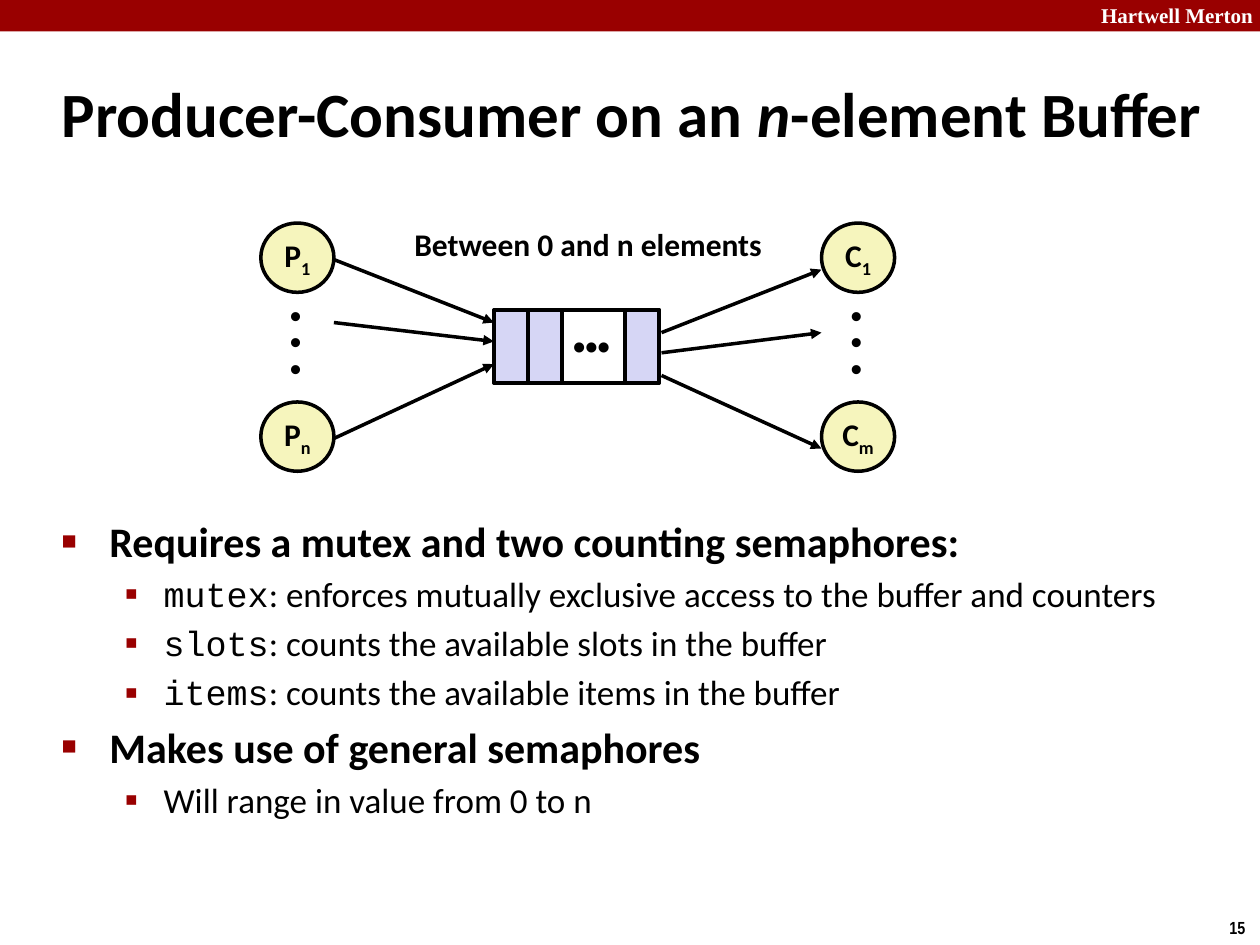
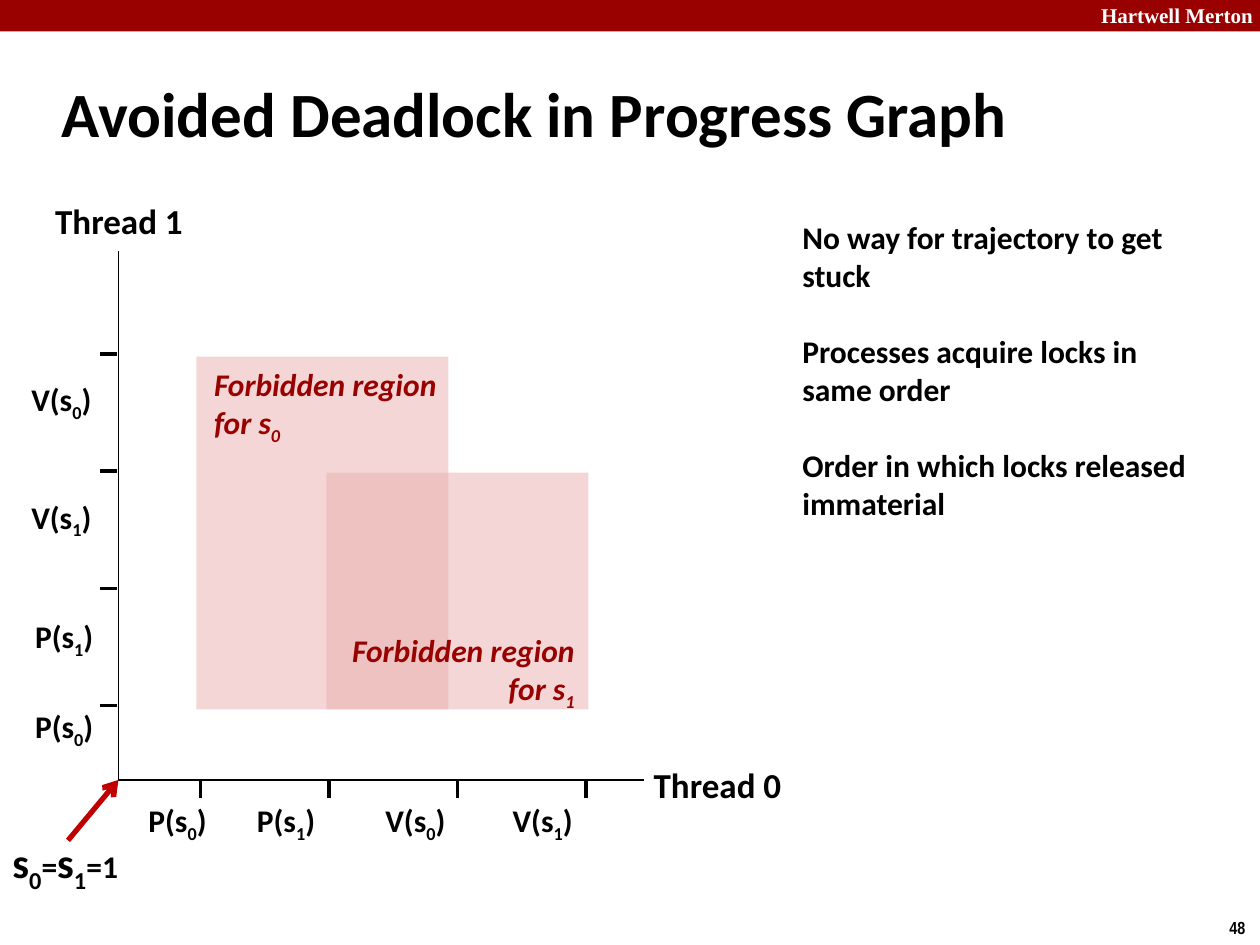
from dataclasses import dataclass

from lxml.etree import SubElement
from pptx import Presentation
from pptx.dml.color import RGBColor
from pptx.enum.shapes import MSO_CONNECTOR, MSO_SHAPE
from pptx.enum.text import MSO_ANCHOR, MSO_AUTO_SIZE, PP_ALIGN
from pptx.oxml.ns import qn
from pptx.util import Inches, Pt

COLORS = {
    "band": "990000",
    "text": "000000",
    "white": "FFFFFF",
    "node": "F6F5BD",
    "slot": "D6D6F5",
    "forbidden": "EBAFAF",
    "start": "C00000",
}
WIDTH, HEIGHT = Inches(10), Inches(7.5)
COLS, ROWS = 100, 75
TITLE_ONLY = 5


@dataclass
class Box:
    x: float
    y: float
    w: float
    h: float

    def sub(self, x, y, w, h):
        return Box(self.x + x, self.y + y, w, h)

    def emu(self):
        return (*point(self.x, self.y), *point(self.w, self.h))


def point(x, y):
    return round(WIDTH * x / COLS), round(HEIGHT * y / ROWS)


def rgb(name):
    return RGBColor.from_string(COLORS[name])


def add_run(p, text, size, font="Calibri", color="text", bold=True, italic=False):
    r = p.add_run()
    r.text = text.removeprefix("_")
    f = r.font
    f.size, f.name, f.bold, f.italic = Pt(size), font, bold, italic
    f.color.rgb = rgb(color)
    if text.startswith("_"):
        f._element.set("baseline", "-25000")


def fill_text(tf, paragraphs, size=18, align=PP_ALIGN.LEFT, spacing=None, before=0, **style):
    for i, runs in enumerate(paragraphs):
        p = tf.paragraphs[0] if i == 0 else tf.add_paragraph()
        p.alignment = align
        if spacing:
            p.line_spacing = spacing
        if i:
            p.space_before = Pt(before)
        for text in runs:
            add_run(p, text, size, **style)


def add_text(s, box, paragraphs, wrap=False, anchor=MSO_ANCHOR.TOP, **style):
    tf = s.shapes.add_textbox(*box.emu()).text_frame
    tf.word_wrap = wrap
    tf.vertical_anchor = anchor
    fill_text(tf, paragraphs, **style)
    return tf


def add_box(s, kind, box, fill=None, outlined=True, alpha=None):
    sp = s.shapes.add_shape(kind, *box.emu())
    sp.shadow.inherit = False
    if fill:
        sp.fill.solid()
        sp.fill.fore_color.rgb = rgb(fill)
    else:
        sp.fill.background()
    if outlined:
        sp.line.color.rgb = rgb("text")
        sp.line.width = Pt(2)
    else:
        sp.line.fill.background()
    if alpha:
        color = sp.element.spPr.find(qn("a:solidFill")).find(qn("a:srgbClr"))
        SubElement(color, qn("a:alpha")).set("val", str(alpha * 1000))
    return sp


def add_line(s, box, start, end, width=2, color="text", arrow=None):
    ends = [point(box.x + x, box.y + y) for x, y in (start, end)]
    line = s.shapes.add_connector(MSO_CONNECTOR.STRAIGHT, *ends[0], *ends[1])
    line.line.color.rgb = rgb(color)
    line.line.width = Pt(width)
    spPr = line.element.spPr
    if arrow:
        SubElement(spPr.find(qn("a:ln")), qn("a:tailEnd")).set("type", arrow)
    SubElement(spPr, qn("a:effectLst"))


def add_frame(prs, title_runs, number, title_width):
    s = prs.slides.add_slide(prs.slide_layouts[TITLE_ONLY])
    add_box(s, MSO_SHAPE.RECTANGLE, Box(0, 0, COLS, 2.5), "band", outlined=False)
    add_text(s, Box(86.4, -0.3, 14.3, 3), [["Hartwell Merton"]], wrap=True,
             size=12, font="Times New Roman", color="white")
    add_text(s, Box(96.6, 72.3, 3.4, 2.7), [[number]], size=10, font="Arial Narrow")
    title = s.shapes.title
    title.left, title.top, title.width, title.height = Box(3.9, 4.8, title_width, 8.3).emu()
    tf = title.text_frame
    tf.auto_size = MSO_AUTO_SIZE.NONE
    tf.vertical_anchor = MSO_ANCHOR.MIDDLE
    p = tf.paragraphs[0]
    p.alignment = PP_ALIGN.LEFT
    for text, italic in title_runs:
        add_run(p, text, 36, italic=italic)
    return s


def add_threads(s, box, letter, last):
    for y, index in ((0, "1"), (14.2, last)):
        tf = add_box(s, MSO_SHAPE.OVAL, box.sub(0, y, 5.8, 5.5), "node").text_frame
        tf.word_wrap = False
        tf.vertical_anchor = MSO_ANCHOR.MIDDLE
        tf.margin_top = tf.margin_bottom = 0
        fill_text(tf, [[letter, "_" + index]], align=PP_ALIGN.CENTER)
    add_text(s, box.sub(1.35, 6.1, 3.2, 7.5), [["•"]] * 3, spacing=0.7, font="Arial")


def add_buffer(s, box):
    for x in (0, 2.7, 10.4):
        add_box(s, MSO_SHAPE.RECTANGLE, box.sub(x, 0, 2.7, box.h), "slot")
    add_text(s, box.sub(2.7, 1.6, 10.1, 3.5), [["•••"]], wrap=True, size=20,
             align=PP_ALIGN.CENTER, spacing=0.7, font="Arial")
    add_box(s, MSO_SHAPE.RECTANGLE, box)


def add_buffer_diagram(s, box):
    add_threads(s, box.sub(0, 0.3, 5.8, 19.7), "P", "n")
    add_threads(s, box.sub(44.5, 0.3, 5.8, 19.7), "C", "m")
    flows = {
        (5.8, 18.5): [(3.2, 8.2), (8.2, 9.7), (17.4, 11.5)],
        (31.8, 44.5): [(9, 4), (10.6, 9), (12.4, 18.2)],
    }
    for (x1, x2), heights in flows.items():
        for y1, y2 in heights:
            add_line(s, box, (x1, y1), (x2, y2), arrow="triangle")
    add_buffer(s, box.sub(18.5, 7.2, 13.1, 5.8))
    add_text(s, box.sub(11.2, 0, 30, 4), [["Between 0 and n elements"]])


def add_bullet(p, char, percent, margin, hang, size):
    p.space_before = Pt(size * 0.2)
    pPr = p._p.get_or_add_pPr()
    pPr.set("marL", str(Inches(margin)))
    pPr.set("indent", str(-Inches(hang)))
    SubElement(SubElement(pPr, qn("a:buClr")), qn("a:srgbClr")).set("val", COLORS["band"])
    SubElement(pPr, qn("a:buSzPct")).set("val", str(percent * 1000))
    SubElement(pPr, qn("a:buFont")).set("typeface", "Arial")
    SubElement(pPr, qn("a:buChar")).set("char", char)


def add_outline(s, box, items):
    tf = add_text(s, box, [], wrap=True)
    for i, (level, code, text) in enumerate(items):
        p = tf.paragraphs[0] if i == 0 else tf.add_paragraph()
        p.level = level
        if level:
            add_bullet(p, "▪", 110, 0.81, 0.31, 20)
        else:
            add_bullet(p, "■", 60, 0.38, 0.38, 24)
        if code:
            add_run(p, code, 20, font="Courier New", bold=False)
        add_run(p, text, 20 if level else 24, bold=not level)


def add_axes(s, box, origin):
    x0, y0 = origin
    add_line(s, box, origin, (51.1, y0), width=1)
    add_line(s, box, origin, (x0, 4.9), width=1)
    for text, x, y in (("Thread 0", 50.8, 45.1), ("Thread 1", 3.3, 0.3)):
        add_text(s, box.sub(x, y, 12.3, 4.4), [[text]], size=20,
                 anchor=MSO_ANCHOR.MIDDLE, align=PP_ALIGN.CENTER)
    for i in range(4):
        x, y = 15.9 + 10.2 * i, 13.1 + 9.3 * i
        add_line(s, box, (x, y0), (x, y0 + 1.4))
        add_line(s, box, (x0 - 1.5, y), (x0 - 0.1, y))
    steps = [
        ("P", "0", 10.8, 48.3), ("P", "1", 19.4, 48.3),
        ("V", "0", 29.6, 48.3), ("V", "1", 39.7, 48.3),
        ("V", "0", 1.5, 14.9), ("V", "1", 1.5, 24.2),
        ("P", "1", 1.8, 33.7), ("P", "0", 1.8, 40.8),
    ]
    for action, lock, x, y in steps:
        add_text(s, box.sub(x, y, 6.9, 4), [[action + "(s", "_" + lock, ")"]],
                 anchor=MSO_ANCHOR.MIDDLE)


def add_start(s, box, origin):
    tf = add_text(s, box.sub(0, 51.7, 10.8, 4), [], anchor=MSO_ANCHOR.MIDDLE)
    for text, size in (("s", 24), ("_0", 24), ("=", 18), ("s", 24), ("_1", 24), ("=1", 18)):
        add_run(tf.paragraphs[0], text, size)
    add_line(s, box, (5.4, 51.7), origin, width=3, color="start", arrow="arrow")


def add_progress_graph(s, box):
    origin = (9.4, 46.9)
    add_axes(s, box, origin)
    for area in ((15.6, 13.3, 20, 28), (25.9, 22.5, 20.8, 18.8)):
        add_box(s, MSO_SHAPE.RECTANGLE, box.sub(*area), "forbidden", outlined=False, alpha=50)
    captions = [("0", 16, 13.5, PP_ALIGN.LEFT), ("1", 26.1, 34.6, PP_ALIGN.RIGHT)]
    for lock, x, y, align in captions:
        add_text(s, box.sub(x, y, 20.5, 7.1), [["Forbidden region"], ["for s", "_" + lock]],
                 align=align, color="band", italic=True)
    add_start(s, box, origin)


def add_remarks(s, box, remarks):
    add_text(s, box, [[remark] for remark in remarks], wrap=True, before=22)


def build_producer_consumer(prs):
    title = [("Producer-Consumer on an ", False), ("n", True), ("-element Buffer", False)]
    s = add_frame(prs, title, "15", 93.6)
    add_outline(s, Box(3.9, 40.4, 89.8, 26), [
        (0, "", "Requires a mutex and two counting semaphores:"),
        (1, "mutex", ": enforces mutually exclusive access to the buffer and counters"),
        (1, "slots", ": counts the available slots in the buffer"),
        (1, "items", ": counts the available items in the buffer"),
        (0, "", "Makes use of general semaphores"),
        (1, "", "Will range in value from 0 to n"),
    ])
    add_buffer_diagram(s, Box(20.7, 17.4, 50.3, 20))


def build_avoided_deadlock(prs):
    s = add_frame(prs, [("Avoided Deadlock in Progress Graph", False)], "48", 83)
    add_progress_graph(s, Box(0, 15, 63.1, 56))
    add_remarks(s, Box(62.7, 16.8, 34, 24), [
        "No way for trajectory to get stuck",
        "Processes acquire locks in same order",
        "Order in which locks released immaterial",
    ])


def main():
    prs = Presentation()
    prs.slide_width, prs.slide_height = WIDTH, HEIGHT
    build_producer_consumer(prs)
    build_avoided_deadlock(prs)
    prs.save("out.pptx")


if __name__ == "__main__":
    main()
